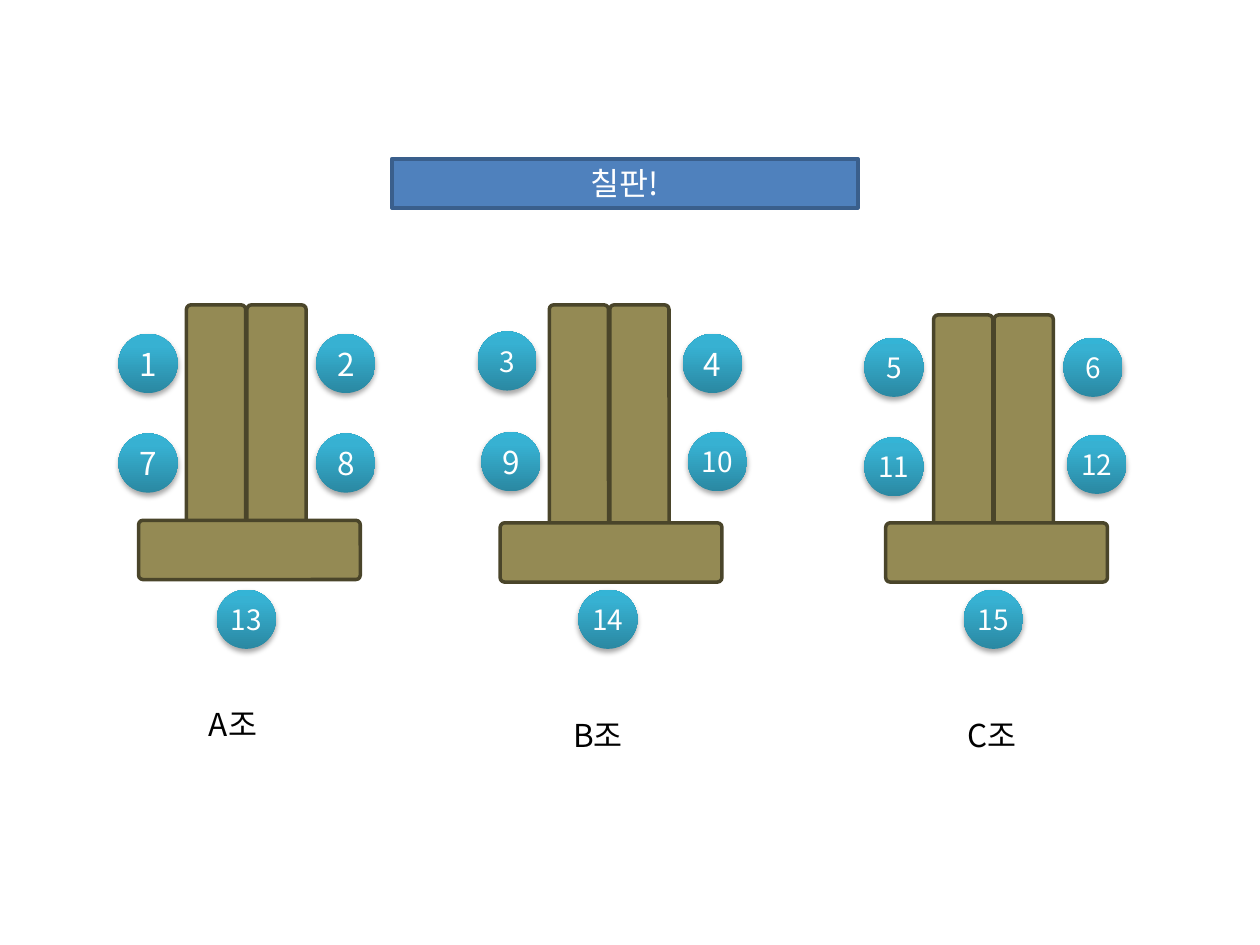
"""Draw a classroom seating plan: a board and three groups of desks with numbered seats."""
from dataclasses import dataclass

from lxml.etree import SubElement
from pptx import Presentation
from pptx.dml.color import RGBColor
from pptx.dml.fill import FillFormat
from pptx.enum.shapes import MSO_SHAPE
from pptx.enum.text import MSO_ANCHOR, PP_ALIGN
from pptx.oxml import parse_xml
from pptx.oxml.ns import qn
from pptx.shapes.autoshape import Shape
from pptx.slide import Slide
from pptx.text.text import TextFrame
from pptx.util import Inches, Pt

FACE = "Noto Sans CJK KR"
SIDE = 0.47
LONG = 1.76
NS = 'xmlns:a="http://schemas.openxmlformats.org/drawingml/2006/main"'
GLOW = f"""<a:gradFill {NS} rotWithShape="1"><a:gsLst>
<a:gs pos="0"><a:srgbClr val="2A88A2"/></a:gs>
<a:gs pos="80000"><a:srgbClr val="37B1D2"/></a:gs>
<a:gs pos="100000"><a:srgbClr val="34B4D6"/></a:gs>
</a:gsLst><a:lin ang="16200000" scaled="0"/></a:gradFill>"""
BARE = f"<a:ln {NS}><a:noFill/></a:ln>"
SHADE = f"""<a:effectLst {NS}><a:outerShdw blurRad="{Pt(3.1)}" dist="{Pt(1.8)}"
dir="5400000" rotWithShape="0"><a:srgbClr val="000000"><a:alpha val="35000"/></a:srgbClr>
</a:outerShdw></a:effectLst>"""


@dataclass
class Seat:
    num: str
    left: float
    top: float
    size: int = 16


@dataclass
class Group:
    left: float
    top: float
    base: tuple[float, float]
    name: str
    spot: tuple[float, float]
    seats: list[Seat]


GROUPS = [
    Group(1.48, 2.42, (1.1, 4.13), "A조", (1.56, 5.55), [
        Seat("1", 0.94, 2.65, 18), Seat("2", 2.51, 2.65, 18),
        Seat("7", 0.94, 3.44, 18), Seat("8", 2.51, 3.44, 18),
        Seat("13", 1.72, 4.68)]),
    Group(4.36, 2.42, (3.97, 4.15), "B조", (4.45, 5.63), [
        Seat("3", 3.79, 2.63), Seat("4", 5.42, 2.65, 18),
        Seat("9", 3.82, 3.43, 18), Seat("10", 5.46, 3.43),
        Seat("14", 4.59, 4.68)]),
    Group(7.41, 2.5, (7.03, 4.15), "C조", (7.58, 5.63), [
        Seat("5", 6.86, 2.68), Seat("6", 8.44, 2.68),
        Seat("11", 6.86, 3.47), Seat("12", 8.47, 3.45),
        Seat("15", 7.65, 4.68)]),
]


def paint(fill: FillFormat, tone: str) -> None:
    """Fill with one solid colour."""
    fill.solid()
    fill.fore_color.rgb = RGBColor.from_string(tone)


def write(frame: TextFrame, text: str, size: int, tone: str, align: PP_ALIGN) -> None:
    """Put one styled line into a text frame."""
    line = frame.paragraphs[0]
    line.text = text
    line.alignment = align
    font = line.font
    font.size = Pt(size)
    font.name = FACE
    paint(font.fill, tone)
    SubElement(line._p.pPr.find(qn("a:defRPr")), qn("a:ea"), typeface=FACE)


def block(slide: Slide, kind: MSO_SHAPE, left: float, top: float,
          width: float, height: float, tone: str, edge: str) -> Shape:
    """Add a flat shape with a solid fill and a 2 pt edge."""
    shape = slide.shapes.add_shape(
        kind, Inches(left), Inches(top), Inches(width), Inches(height))
    shape.shadow.inherit = False
    paint(shape.fill, tone)
    paint(shape.line.fill, edge)
    shape.line.width = Pt(2)
    return shape


def desk(slide: Slide, left: float, top: float, width: float, height: float) -> None:
    """Add one desk with slightly rounded corners."""
    shape = block(slide, MSO_SHAPE.ROUNDED_RECTANGLE, left, top, width, height,
                  "948A54", "4A452A")
    shape.adjustments[0] = 0.074


def chair(slide: Slide, seat: Seat) -> None:
    """Add one numbered seat."""
    shape = slide.shapes.add_shape(
        MSO_SHAPE.OVAL, Inches(seat.left), Inches(seat.top), Inches(SIDE), Inches(SIDE))
    for part in (GLOW, BARE, SHADE):
        shape._element.spPr.append(parse_xml(part))
    frame = shape.text_frame
    frame.margin_left = frame.margin_right = 0
    frame.margin_top = frame.margin_bottom = 0
    frame.word_wrap = False
    frame.vertical_anchor = MSO_ANCHOR.MIDDLE
    write(frame, seat.num, seat.size, "FFFFFF", PP_ALIGN.CENTER)


def label(slide: Slide, group: Group) -> None:
    """Add the name under a group."""
    left, top = group.spot
    box = slide.shapes.add_textbox(Inches(left), Inches(top), Inches(0.7), Inches(0.4))
    box.text_frame.word_wrap = True
    write(box.text_frame, group.name, 18, "000000", PP_ALIGN.LEFT)


def place(slide: Slide, group: Group) -> None:
    """Add the desks, seats and name of a group."""
    for col in range(2):
        desk(slide, group.left + col * 0.48, group.top, SIDE, LONG)
    desk(slide, *group.base, LONG, SIDE)
    for seat in group.seats:
        chair(slide, seat)
    label(slide, group)


def main() -> None:
    """Build and save the slide."""
    deck = Presentation()
    deck.slide_width, deck.slide_height = Inches(10), Inches(7.5)
    slide = deck.slides.add_slide(deck.slide_layouts[6])
    board = block(slide, MSO_SHAPE.RECTANGLE, 3.11, 1.26, 3.7, 0.39, "4F81BD", "3A5F8C")
    board.text_frame.vertical_anchor = MSO_ANCHOR.MIDDLE
    write(board.text_frame, "칠판!", 18, "FFFFFF", PP_ALIGN.CENTER)
    for group in GROUPS:
        place(slide, group)
    deck.save("out.pptx")


if __name__ == "__main__":
    main()
